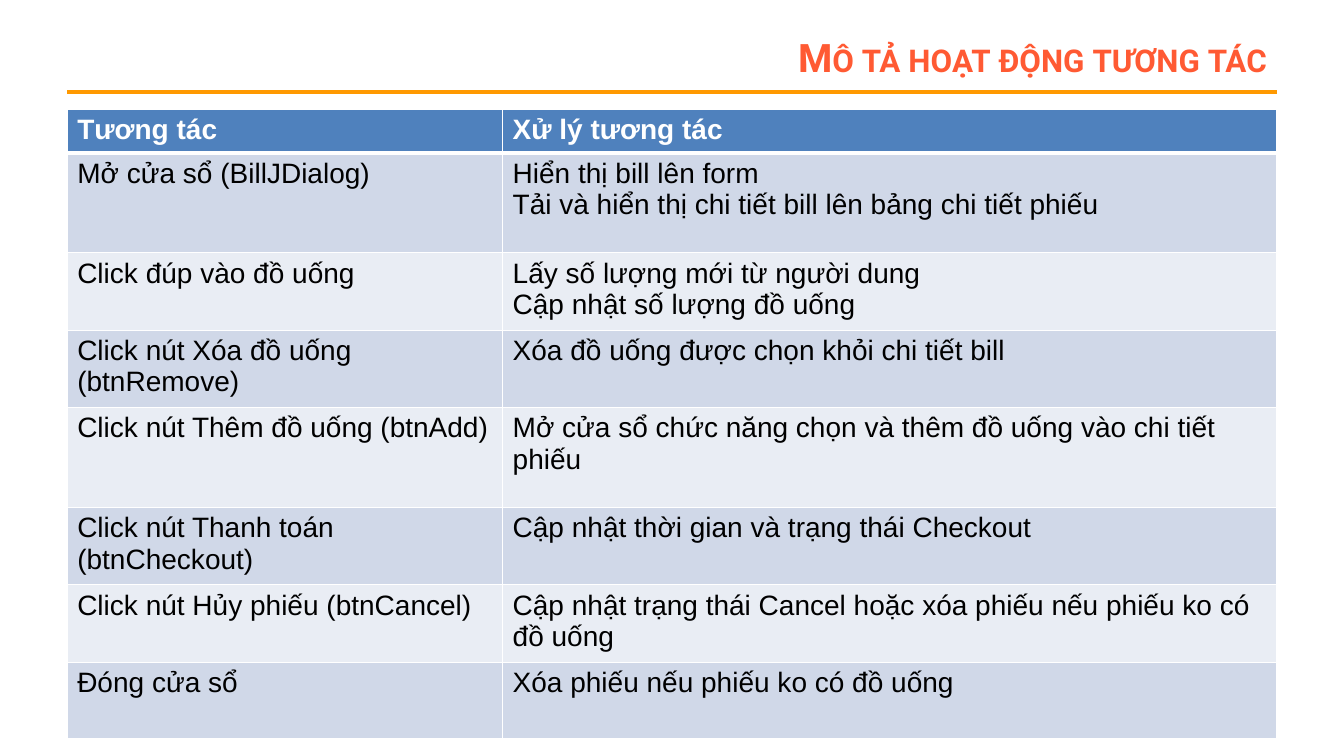
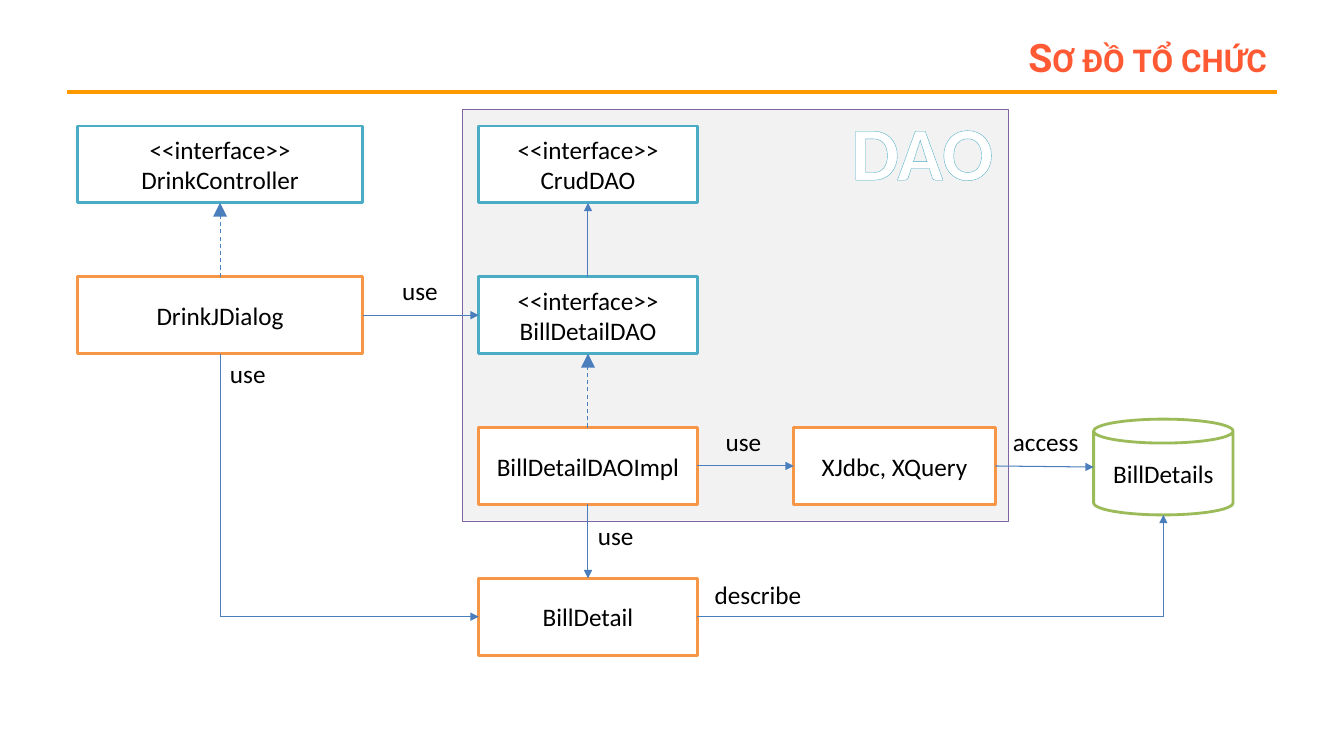
import pptx
import pptx.util
import pptx.dml.color
import pptx.enum.dml
import pptx.enum.shapes
import pptx.enum.text
import pptx.oxml
import pptx.oxml.ns

UNIT = 1 / 12
ORANGE, TEAL, GREEN, BLUE = "F79646", "4BACC6", "9BBB59", "4B7EBC"
WHITE, BLACK, PALE, PURPLE = "FFFFFF", "000000", "F2F2F2", "8064A2"
HEAD, BANDS = "4F81BD", ("D0D8E8", "E9EDF4")
TITLE, RULE = "FF5A33", "FF9900"
BODY = (8, 13, 144, 74.5)
SHAPE = pptx.enum.shapes.MSO_SHAPE
LINK = pptx.enum.shapes.MSO_CONNECTOR
ALIGN = pptx.enum.text.PP_ALIGN
ANCHOR = pptx.enum.text.MSO_ANCHOR

ROWS = [
    ("Tương tác", "Xử lý tương tác"),
    ("Mở cửa sổ (BillJDialog)",
     "Hiển thị bill lên form\nTải và hiển thị chi tiết bill lên bảng chi tiết phiếu"),
    ("Click đúp vào đồ uống",
     "Lấy số lượng mới từ người dung\nCập nhật số lượng đồ uống"),
    ("Click nút Xóa đồ uống (btnRemove)",
     "Xóa đồ uống được chọn khỏi chi tiết bill"),
    ("Click nút Thêm đồ uống (btnAdd)",
     "Mở cửa sổ chức năng chọn và thêm đồ uống vào chi tiết phiếu"),
    ("Click nút Thanh toán (btnCheckout)",
     "Cập nhật thời gian và trạng thái Checkout"),
    ("Click nút Hủy phiếu (btnCancel)",
     "Cập nhật trạng thái Cancel hoặc xóa phiếu nếu phiếu ko có đồ uống"),
    ("Đóng cửa sổ", "Xóa phiếu nếu phiếu ko có đồ uống"),
]
TALLS = [5, 11.9, 9.15, 9.15, 11.9, 9.15, 9.15, 9.15]

COLS = [(1.2, 34), (49, 26), (86.5, 24)]
TOP, STEP, TALL = 2, 17.95, 9.15
FACE = "<<interface>>\n"
NODES = {
    "control": (0, 0, TEAL, FACE + "DrinkController"),
    "dialog": (0, 1, ORANGE, "DrinkJDialog"),
    "crud": (1, 0, TEAL, FACE + "CrudDAO"),
    "dao": (1, 1, TEAL, FACE + "BillDetailDAO"),
    "impl": (1, 2, ORANGE, "BillDetailDAOImpl"),
    "bill": (1, 3, ORANGE, "BillDetail"),
    "query": (2, 2, ORANGE, "XJdbc, XQuery"),
}
STORE = (122.2, 36.9, 16.6, 11.4)
LINKS = [
    ("dialog", "top", "control", "bottom", True),
    ("impl", "top", "dao", "bottom", True),
    ("dao", "top", "crud", "bottom", False),
    ("dialog", "right", "dao", "left", False),
    ("impl", "right", "query", "left", False),
    ("query", "right", "store", "left", False),
    ("impl", "bottom", "bill", "top", False),
]
LABELS = [
    (38.7, 19.2, 6.7, "use"),
    (18.2, 29.1, 6.7, "use"),
    (62, 48.4, 6.7, "use"),
    (77.2, 37.2, 6.7, "use"),
    (75.9, 55.4, 12.8, "describe"),
    (111.4, 37.2, 10.3, "access"),
]


def size(num):
    return pptx.util.Inches(num * UNIT)


def sizes(box):
    return [size(num) for num in box]


def shift(box, area):
    return (area[0] + box[0], area[1] + box[1], *box[2:])


def tint(code):
    return pptx.dml.color.RGBColor.from_string(code)


def paint(item, code):
    item.fill.solid()
    item.fill.fore_color.rgb = tint(code)


def node(xml):
    space = pptx.oxml.ns.nsdecls("a")
    return pptx.oxml.parse_xml(xml.replace(" ", f" {space} ", 1))


def edge(tag, code, width):
    return node(f'<a:{tag} w="{int(width * 12700)}"><a:solidFill>'
                f'<a:srgbClr val="{code}"/></a:solidFill></a:{tag}>')


def write(frame, text, pts, face="Calibri", code=BLACK, bold=False, align=ALIGN.LEFT):
    runs = []
    for i, line in enumerate(text.split("\n")):
        para = frame.add_paragraph() if i else frame.paragraphs[0]
        para.alignment = align
        run = para.add_run()
        run.text = line
        run.font.size = pptx.util.Pt(pts)
        run.font.name = face
        run.font.bold = bold
        run.font.color.rgb = tint(code)
        runs.append(run)
    return runs


def label(slide, box, text, pts=18, wrap=False, **style):
    item = slide.shapes.add_textbox(*sizes(box))
    item.text_frame.word_wrap = wrap
    item.text_frame.vertical_anchor = ANCHOR.MIDDLE
    return write(item.text_frame, text, pts, **style)[0]


def block(slide, kind, box, fill, line, width, text=""):
    item = slide.shapes.add_shape(kind, *sizes(box))
    item.shadow.inherit = False
    paint(item, fill)
    item.line.color.rgb = tint(line)
    item.line.width = pptx.util.Pt(width)
    if text:
        item.text_frame.word_wrap = True
        item.text_frame.vertical_anchor = ANCHOR.MIDDLE
        write(item.text_frame, text, 18, align=ALIGN.CENTER)
    return item


def wire(slide, start, end, code=BLUE, width=0.75, kind=LINK.STRAIGHT):
    item = slide.shapes.add_connector(kind, *sizes((*start, *end)))
    item.line.color.rgb = tint(code)
    item.line.width = pptx.util.Pt(width)
    item._element.spPr.append(node('<a:effectLst />'))
    return item


def tip(item, tag="tailEnd", span="med"):
    item.line._get_or_add_ln().append(
        node(f'<a:{tag} type="triangle" w="{span}" len="{span}"/>'))


def elbow(slide, start, end, tag):
    item = wire(slide, start, end, kind=LINK.ELBOW)
    item._element.spPr.prstGeom.set("prst", "bentConnector2")
    tip(item, tag)


def port(box, side):
    x, y, w, h = box
    return {"top": (x + w / 2, y), "bottom": (x + w / 2, y + h),
            "left": (x, y + h / 2), "right": (x + w, y + h / 2)}[side]


def page(deck, title):
    slide = deck.slides.add_slide(deck.slide_layouts[6])
    wire(slide, (8, 11), (152, 11), RULE, 3)
    run = label(slide, (29.3, 3.6, 122.7, 6.4), title, 28, True, face="Roboto",
                code=TITLE, bold=True, align=ALIGN.RIGHT)
    run.font._element.set("cap", "small")
    return slide


def grid(slide, area):
    table = slide.shapes.add_table(len(ROWS), 2, *sizes(area)).table
    for col, part in zip(table.columns, (0.36, 0.64)):
        col.width = size(area[2] * part)
    for i, (texts, tall) in enumerate(zip(ROWS, TALLS)):
        table.rows[i].height = size(area[3] * tall / sum(TALLS))
        for j, text in enumerate(texts):
            cell = table.cell(i, j)
            write(cell.text_frame, text, 20, "Arial", BLACK if i else WHITE, not i)
            props = cell._tc.get_or_add_tcPr()
            for tag in ("lnL", "lnR", "lnT", "lnB"):
                thick = (i, tag) in ((0, "lnB"), (1, "lnT"))
                props.append(edge(tag, WHITE, 3 if thick else 1))
            paint(cell, BANDS[(i - 1) % 2] if i else HEAD)


def chart(slide, area):
    block(slide, SHAPE.RECTANGLE, shift((47, 0, 65, 49), area), PALE, PURPLE, 0.25)
    spots = {"store": shift(STORE, area)}
    block(slide, SHAPE.CAN, spots["store"], WHITE, GREEN, 2, "BillDetails")
    for name, (col, row, code, text) in NODES.items():
        left, wide = COLS[col]
        spots[name] = shift((left, TOP + STEP * row, wide, TALL), area)
        block(slide, SHAPE.RECTANGLE, spots[name], WHITE, code, 2, text)
    for start, out, end, into, dash in LINKS:
        item = wire(slide, port(spots[start], out), port(spots[end], into))
        if dash:
            item.line.dash_style = pptx.enum.dml.MSO_LINE.DASH
        tip(item, span="lg" if dash else "med")
    elbow(slide, port(spots["bill"], "right"), port(spots["store"], "bottom"), "tailEnd")
    elbow(slide, port(spots["bill"], "left"), port(spots["dialog"], "bottom"), "headEnd")
    for x, y, wide, text in LABELS:
        label(slide, shift((x, y, wide, 4.8), area), text)
    run = label(slide, shift((92.1, -1.2, 19.4, 12.1), area), "DAO", 54,
                code=WHITE, bold=True, align=ALIGN.CENTER)
    run.font._element.insert(0, edge("ln", TEAL, 0.8))


def main():
    deck = pptx.Presentation()
    deck.slide_width, deck.slide_height = size(160), size(90)
    grid(page(deck, "Mô tả hoạt động tương tác"), BODY)
    chart(page(deck, "Sơ đồ tổ chức"), BODY)
    deck.save("out.pptx")


if __name__ == "__main__":
    main()
